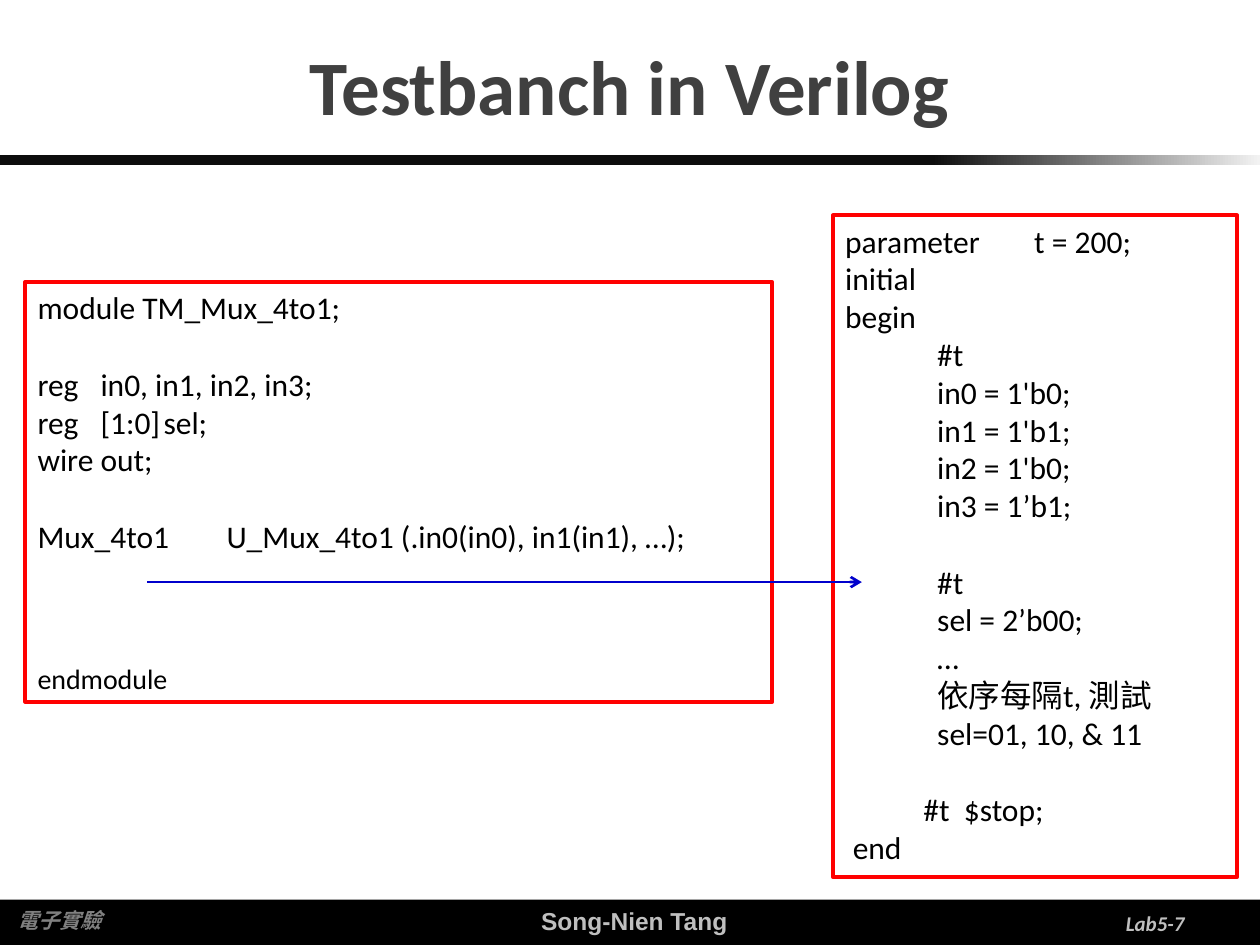
from pptx import Presentation
from pptx.dml.color import RGBColor
from pptx.enum.shapes import MSO_CONNECTOR as Connector, MSO_SHAPE as Shape
from pptx.enum.text import MSO_ANCHOR as Anchor, PP_ALIGN as Align
from pptx.oxml.ns import qn
from pptx.util import Inches, Pt
from lxml.etree import SubElement

LINE_GAP = 22
STEP = 0.73

MODULE_LINES = [
    {"text": "module TM_Mux_4to1;"},
    {"text": "reg\tin0, in1, in2, in3;", "gap": LINE_GAP, "tabs": [0.56]},
    {"text": "reg\t[1:0]\tsel;", "tabs": [0.5, 1.08]},
    {"text": "wire\tout;", "tabs": [0.56]},
    {"text": "Mux_4to1\tU_Mux_4to1 (.in0(in0), in1(in1), …);",
     "gap": LINE_GAP, "tabs": [1.33]},
    {"text": "endmodule", "gap": 61, "size": 16},
]

STIMULUS_LINES = [
    {"text": "parameter\tt = 200;", "tabs": [2]},
    {"text": "initial"},
    {"text": "begin"},
    {"text": "#t", "indent": STEP},
    {"text": "in0 = 1'b0;", "indent": STEP},
    {"text": "in1 = 1'b1;", "indent": STEP},
    {"text": "in2 = 1'b0;", "indent": STEP},
    {"text": "in3 = 1’b1;", "indent": STEP},
    {"text": "#t", "indent": STEP, "gap": LINE_GAP},
    {"text": "sel = 2’b00;", "indent": STEP},
    {"text": "…", "indent": STEP},
    {"text": "依序每隔t, 測試", "indent": STEP},
    {"text": "sel=01, 10, & 11", "indent": STEP},
    {"text": "#t  $stop;", "indent": 0.62, "gap": LINE_GAP},
    {"text": "end", "indent": 0.06},
]


def color(value):
    return RGBColor.from_string(value)


def add_span(para, text, size, shade, font="Calibri", bold=False, italic=False):
    span = para.add_run()
    span.text = text
    span.font.name = font
    span.font.size = Pt(size)
    span.font.bold = bold
    span.font.italic = italic
    span.font.color.rgb = color(shade)


def add_rectangle(page, left, top, width, height):
    box = page.shapes.add_shape(
        Shape.RECTANGLE, Inches(left), Inches(top), Inches(width), Inches(height))
    box.shadow.inherit = False
    return box


def add_bars(page):
    footer = add_rectangle(page, 0, 7.14, 10, 0.36)
    footer.fill.solid()
    footer.fill.fore_color.rgb = color("000000")
    footer.line.fill.background()

    rule = add_rectangle(page, 0, 1.23, 10, 0.08)
    rule.fill.gradient()
    rule.fill.gradient_angle = 180
    stops = [(0, "F2F2F2"), (0.26, "0D0D0D")]
    for stop, (position, shade) in zip(rule.fill.gradient_stops, stops):
        stop.position = position
        stop.color.rgb = color(shade)
    rule.line.fill.background()


def add_title(page, text):
    title = page.shapes.title
    title.left, title.top = Inches(0.5), Inches(0.05)
    title.width, title.height = Inches(9), Inches(1.25)
    title.text_frame.vertical_anchor = Anchor.MIDDLE
    para = title.text_frame.paragraphs[0]
    para.alignment = Align.CENTER
    add_span(para, text, 44, "404040", bold=True)


def add_label(page, text, left, top, width, height, align, size, shade,
              font="Arial", italic=True, anchor=Anchor.TOP):
    box = page.shapes.add_textbox(
        Inches(left), Inches(top), Inches(width), Inches(height))
    box.text_frame.word_wrap = True
    box.text_frame.vertical_anchor = anchor
    para = box.text_frame.paragraphs[0]
    para.alignment = align
    add_span(para, text, size, shade, font, bold=True, italic=italic)


def add_code_line(para, text, gap=0, size=18, indent=0, tabs=()):
    para.alignment = Align.LEFT
    para.space_before = Pt(gap)
    properties = para._p.get_or_add_pPr()
    properties.set("marL", str(Inches(indent)))
    properties.set("indent", "0")
    if tabs:
        tab_list = SubElement(properties, qn("a:tabLst"))
        for position in tabs:
            SubElement(tab_list, qn("a:tab"), pos=str(Inches(position)), algn="l")
    add_span(para, text, size, "000000")


def add_code_box(page, left, top, width, height, lines):
    box = add_rectangle(page, left, top, width, height)
    box.fill.background()
    box.line.color.rgb = color("FF0000")
    box.line.width = Pt(2.25)
    frame = box.text_frame
    frame.word_wrap = True
    frame.vertical_anchor = Anchor.TOP
    for index, line in enumerate(lines):
        para = frame.add_paragraph() if index else frame.paragraphs[0]
        add_code_line(para, **line)


def add_arrow(page, start, end, y):
    arrow = page.shapes.add_connector(
        Connector.STRAIGHT, Inches(start), Inches(y), Inches(end), Inches(y))
    arrow.line.color.rgb = color("0000CC")
    arrow.line.width = Pt(1.5)
    properties = arrow._element.spPr
    SubElement(properties.find(qn("a:ln")), qn("a:tailEnd"), type="arrow")
    SubElement(properties, qn("a:effectLst"))


def main():
    deck = Presentation()
    deck.slide_width, deck.slide_height = Inches(10), Inches(7.5)
    page = deck.slides.add_slide(deck.slide_layouts[5])
    add_bars(page)
    add_title(page, "Testbanch in Verilog")
    add_label(page, "Song-Nien Tang", 2.87, 7.14, 4.33, 0.34,
              Align.CENTER, 14, "BFBFBF", italic=False)
    add_label(page, "電子實驗", 0.04, 7.15, 2.01, 0.3, Align.LEFT, 12, "808080")
    add_label(page, "Lab5-7", 7.17, 7.13, 2.33, 0.4, Align.RIGHT, 12, "BFBFBF",
              font="Calibri", anchor=Anchor.MIDDLE)
    add_code_box(page, 0.2, 2.24, 5.93, 3.33, MODULE_LINES)
    add_code_box(page, 6.61, 1.71, 3.21, 5.25, STIMULUS_LINES)
    add_arrow(page, 1.17, 6.84, 4.62)
    deck.save("out.pptx")


if __name__ == "__main__":
    main()
